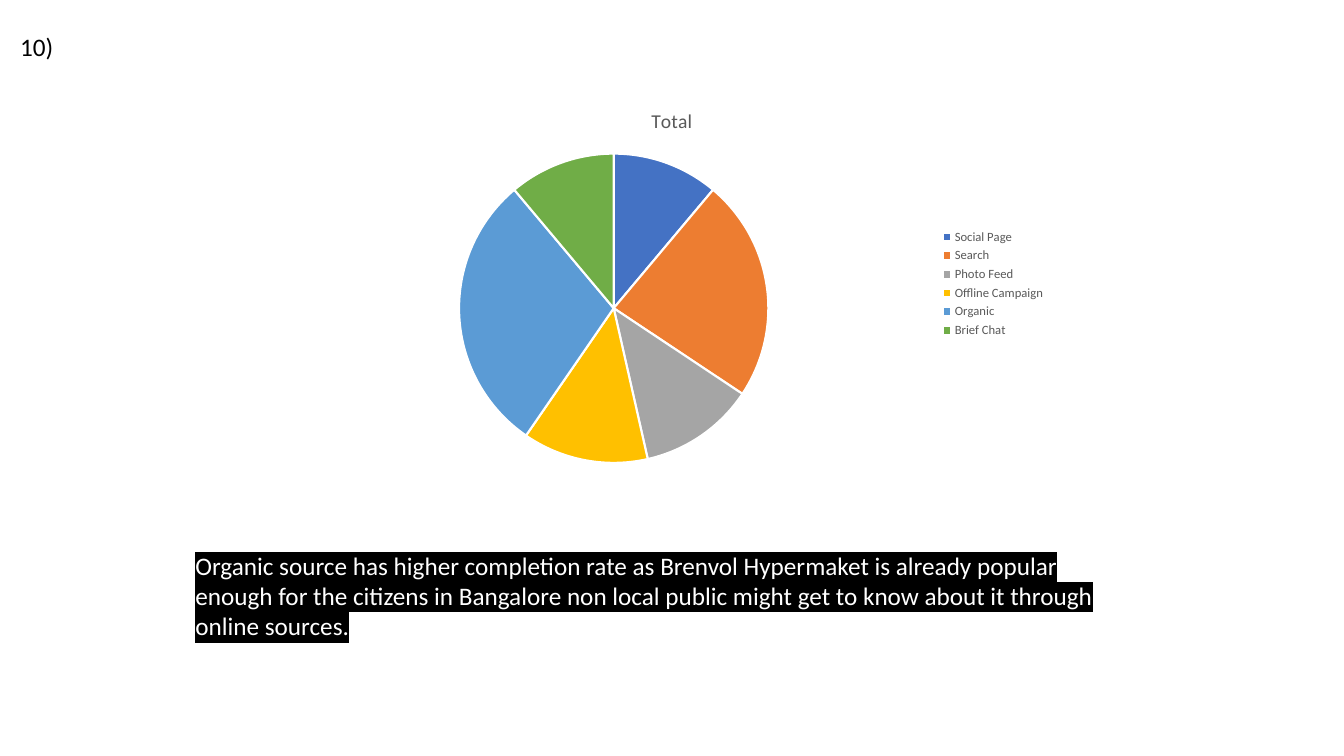
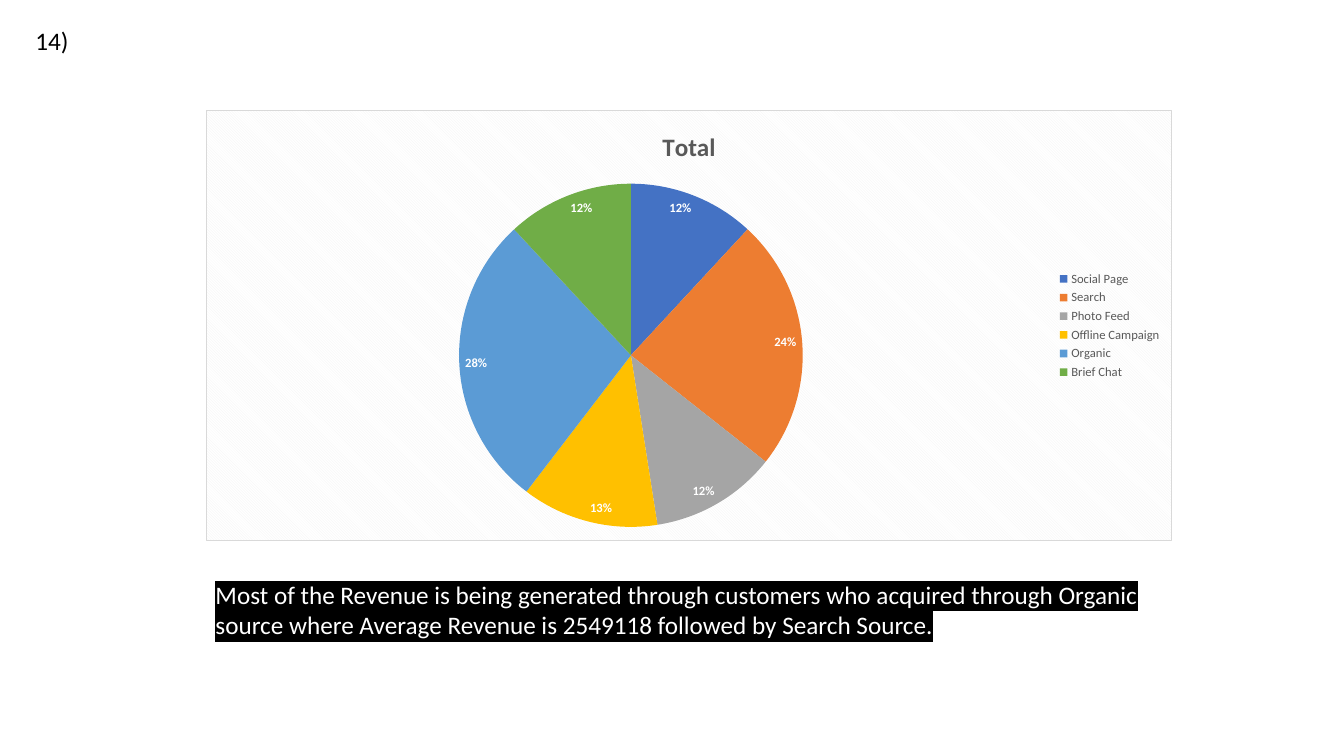
import dataclasses
import typing

import lxml.etree
import pptx
import pptx.chart.data
import pptx.dml.color
import pptx.enum.chart
import pptx.enum.text
import pptx.oxml
import pptx.oxml.ns
import pptx.util

TITLE_ONLY = 5


@dataclasses.dataclass(frozen=True)
class Theme:
    face: str = "Calibri"
    ink: str = "000000"
    paper: str = "FFFFFF"
    grey: str = "595959"
    edge: str = "D9D9D9"
    hatch: str = "F2F2F2"
    slices: tuple[str, ...] = ("4472C4", "ED7D31", "A5A5A5",
                               "FFC000", "5B9BD5", "70AD47")
    text: float = 18
    chart: float = 10
    small: float = 9
    rim: float = 1.5


class Box(typing.NamedTuple):
    """A frame in percent of the slide's width and height."""
    left: float
    top: float
    width: float
    height: float


@dataclasses.dataclass(frozen=True)
class Page:
    number: str
    number_box: Box
    values: tuple[int, ...]
    chart_box: Box
    head_size: float
    rich: bool  # hatched ground, bold title and percent labels
    caption: str
    caption_box: Box


THEME = Theme()
WIDTH, HEIGHT = pptx.util.Inches(13.333), pptx.util.Inches(7.5)
SOURCES = ("Social Page", "Search", "Photo Feed", "Offline Campaign",
           "Organic", "Brief Chat")

PAGES = (
    Page("10)", Box(0.75, 3.47, 4.05, 5.33),
         (11, 23, 12, 13, 29, 11), Box(21.45, 12, 57.08, 51.07), 14, False,
         "Organic source has higher completion rate as Brenvol Hypermaket is "
         "already popular enough for the citizens in Bangalore non local "
         "public might get to know about it through online sources.",
         Box(13.8, 72.13, 69.23, 13.47)),
    Page("14)", Box(1.88, 2.67, 4.35, 5.33),
         (12, 24, 12, 13, 28, 12), Box(15.3, 14.53, 71.93, 57.07), 18, True,
         "Most of the Revenue is being generated through customers who "
         "acquired through Organic source where Average Revenue is 2549118 "
         "followed by Search Source.",
         Box(15.3, 76, 71.33, 9.47)),
)


def place(box: Box) -> tuple[int, int, int, int]:
    return (round(WIDTH * box.left / 100), round(HEIGHT * box.top / 100),
            round(WIDTH * box.width / 100), round(HEIGHT * box.height / 100))


def rgb(code: str) -> pptx.dml.color.RGBColor:
    return pptx.dml.color.RGBColor.from_string(code)


def style(font, size: float, color: str, bold: bool = False) -> None:
    font.name, font.size, font.bold = THEME.face, pptx.util.Pt(size), bold
    font.color.rgb = rgb(color)


def add_number(slide, page: Page) -> None:
    title = slide.shapes.title
    title.left, title.top, title.width, title.height = place(page.number_box)
    frame = title.text_frame
    frame.text = page.number
    frame.word_wrap = False
    frame.auto_size = pptx.enum.text.MSO_AUTO_SIZE.NONE
    frame.vertical_anchor = pptx.enum.text.MSO_ANCHOR.TOP
    line = frame.paragraphs[0]
    line.alignment = pptx.enum.text.PP_ALIGN.LEFT
    style(line.font, THEME.text, THEME.ink)


def add_caption(slide, page: Page) -> None:
    frame = slide.shapes.add_textbox(*place(page.caption_box)).text_frame
    frame.word_wrap = True
    run = frame.paragraphs[0].add_run()
    run.text = page.caption
    style(run.font, THEME.text, THEME.paper)
    # The highlight must follow the text fill
    mark = lxml.etree.Element(pptx.oxml.ns.qn("a:highlight"))
    tint = lxml.etree.SubElement(mark, pptx.oxml.ns.qn("a:srgbClr"))
    tint.set("val", THEME.ink)
    fill = run.font._element.find(pptx.oxml.ns.qn("a:solidFill"))
    fill.addnext(mark)


def add_ground(chart) -> None:
    """Give the chart area a hatched fill and a thin border."""
    ground = pptx.oxml.parse_xml(
        f'<c:spPr {pptx.oxml.ns.nsdecls("c", "a")}>'
        '<a:pattFill prst="dkDnDiag">'
        f'<a:fgClr><a:srgbClr val="{THEME.hatch}"/></a:fgClr>'
        f'<a:bgClr><a:srgbClr val="{THEME.paper}"/></a:bgClr></a:pattFill>'
        f'<a:ln w="{pptx.util.Pt(0.75)}"><a:solidFill>'
        f'<a:srgbClr val="{THEME.edge}"/></a:solidFill></a:ln></c:spPr>')
    chart._chartSpace.find(pptx.oxml.ns.qn("c:txPr")).addprevious(ground)


def add_labels(plot) -> None:
    plot.has_data_labels = True
    labels = plot.data_labels
    labels.show_value, labels.show_percentage = False, True
    labels.number_format, labels.number_format_is_linked = "0%", False
    labels.position = pptx.enum.chart.XL_LABEL_POSITION.INSIDE_END
    style(labels.font, THEME.small, THEME.paper, True)


def add_pie(slide, page: Page) -> None:
    data = pptx.chart.data.CategoryChartData()
    data.categories = SOURCES
    data.add_series("Total", page.values)
    chart = slide.shapes.add_chart(pptx.enum.chart.XL_CHART_TYPE.PIE,
                                   *place(page.chart_box), data).chart
    style(chart.font, THEME.chart, THEME.ink)

    # Title and legend
    chart.has_title = True
    head = chart.chart_title.text_frame
    head.text = "Total"
    style(head.paragraphs[0].font, page.head_size, THEME.grey, page.rich)
    chart.has_legend = True
    chart.legend.position = pptx.enum.chart.XL_LEGEND_POSITION.RIGHT
    chart.legend.include_in_layout = False
    style(chart.legend.font, THEME.small, THEME.grey)

    # Slices
    plot = chart.plots[0]
    plot.vary_by_categories = True
    for index, color in enumerate(THEME.slices):
        form = plot.series[0].points[index].format
        form.fill.solid()
        form.fill.fore_color.rgb = rgb(color)
        if page.rich:
            form.line.fill.background()
        else:
            form.line.color.rgb = rgb(THEME.paper)
            form.line.width = pptx.util.Pt(THEME.rim)

    if page.rich:
        add_ground(chart)
        add_labels(plot)


def main() -> None:
    deck = pptx.Presentation()
    deck.slide_width, deck.slide_height = WIDTH, HEIGHT
    for page in PAGES:
        slide = deck.slides.add_slide(deck.slide_layouts[TITLE_ONLY])
        add_number(slide, page)
        add_pie(slide, page)
        add_caption(slide, page)
    deck.save("out.pptx")


if __name__ == "__main__":
    main()
